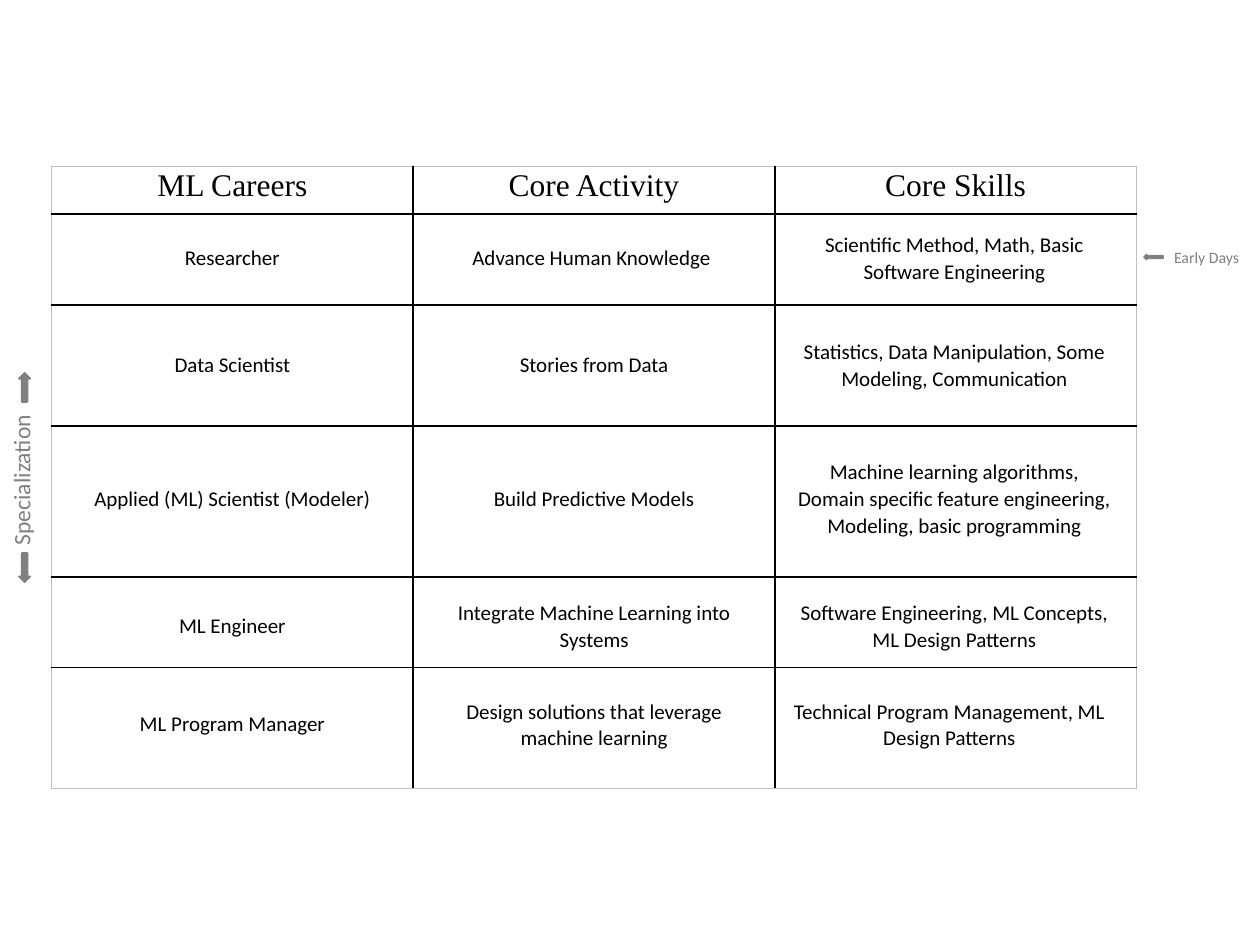
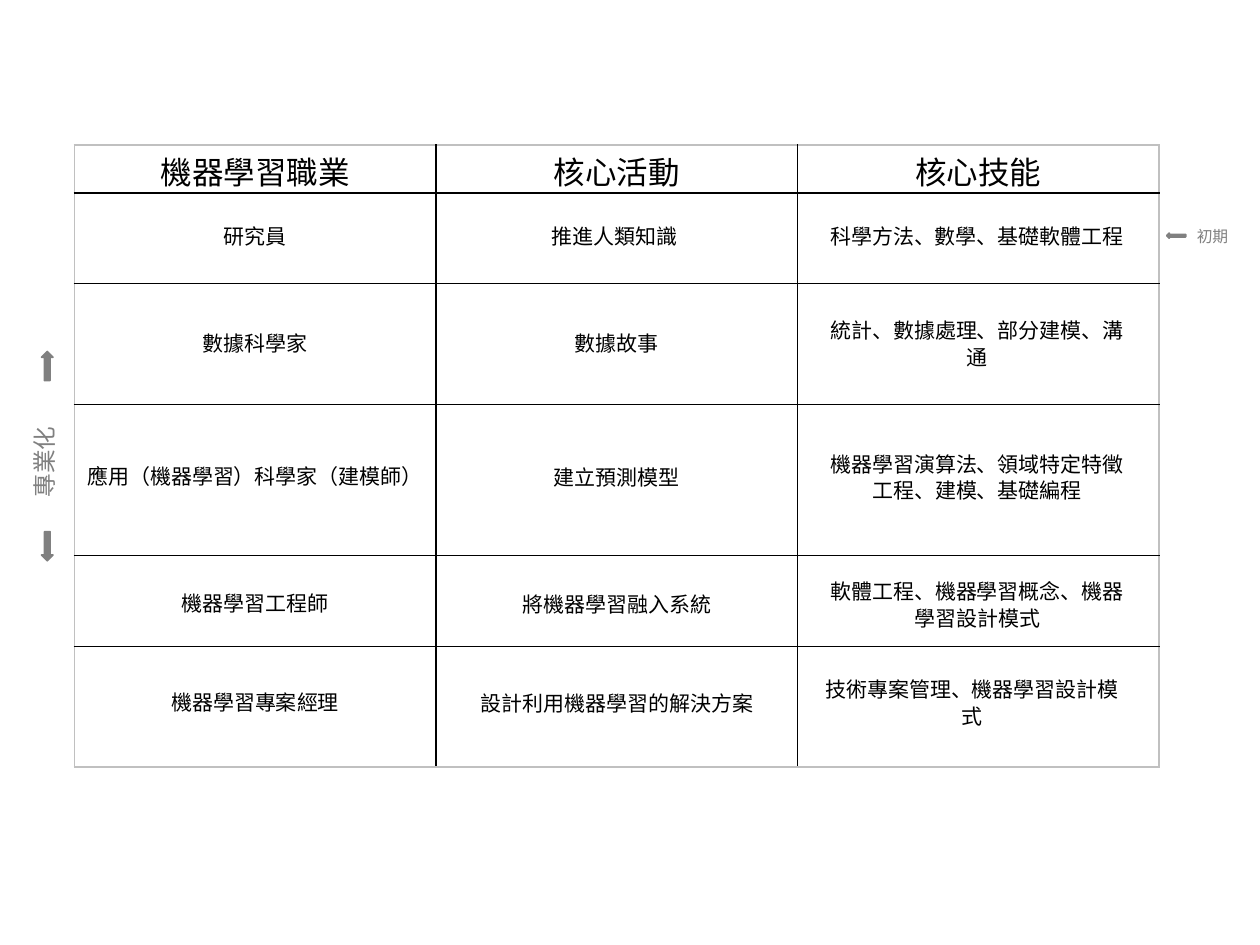
from dataclasses import dataclass

from lxml.etree import SubElement
from pptx import Presentation
from pptx.dml.color import RGBColor
from pptx.enum.shapes import MSO_SHAPE
from pptx.enum.text import MSO_ANCHOR, MSO_AUTO_SIZE, PP_ALIGN
from pptx.oxml.ns import qn
from pptx.util import Inches, Pt

BLACK = RGBColor(0x00, 0x00, 0x00)
GRAY = RGBColor(0x80, 0x80, 0x80)
EDGE = RGBColor(0xC0, 0xC0, 0xC0)
BODY_FONT = "Calibri"
HEAD_FONT = "Times New Roman"
SPACING = 1.07

COL_W = 2.87
ROW_H = (0.38, 0.72, 0.96, 1.2, 0.72, 0.96)
ROW_MID = (0.72, 1.57, 2.63, 3.64, 4.42)
TEXT_W = 2.69
ACTIVITY_X = (2.94, 2.96, 2.96, 2.96, 2.96)
SKILLS_X = (5.82, 5.82, 5.82, 5.82, 5.78)
ACTIVITY_LINES = (1, 1, 1, 2, 2)
SKILLS_LINES = (2, 2, 3, 2, 2)

CELL_FORMAT = {"margin_left": Inches(0.06), "margin_right": Inches(0.06),
               "margin_top": 0, "margin_bottom": 0}
CENTERED = {"alignment": PP_ALIGN.CENTER, "line_spacing": SPACING}


@dataclass(frozen=True)
class Career:
    """One row of the careers table."""
    name: str
    activity: str
    skills: str


@dataclass(frozen=True)
class CareerSlide:
    """The wording and table corner of one language version."""
    left: float
    top: float
    headers: tuple[str, str, str]
    careers: tuple[Career, ...]
    early: str
    special: str
    special_y: float


@dataclass(frozen=True)
class Arrow:
    """A gray arrow placed from the table corner."""
    x: float
    y: float
    w: float
    h: float
    rotation: int


ARROWS = (
    Arrow(8.67, 0.7, 0.15, 0.04, 180),
    Arrow(-0.33, 1.71, 0.23, 0.09, 270),
    Arrow(-0.33, 3.14, 0.23, 0.09, 90),
)

SLIDES = (
    CareerSlide(
        0.41, 1.32, ("ML Careers", "Core Activity", "Core Skills"),
        (
            Career("Researcher", "Advance Human Knowledge",
                   "Scientific Method, Math, Basic Software Engineering"),
            Career("Data Scientist", "Stories from Data",
                   "Statistics, Data Manipulation, Some Modeling, Communication"),
            Career("Applied (ML) Scientist (Modeler)", "Build Predictive Models",
                   "Machine learning algorithms, Domain specific feature "
                   "engineering, Modeling, basic programming"),
            Career("ML Engineer", "Integrate Machine Learning into Systems",
                   "Software Engineering, ML Concepts, ML Design Patterns"),
            Career("ML Program Manager",
                   "Design solutions that leverage machine learning",
                   "Technical Program Management, ML Design Patterns"),
        ),
        "Early Days", "Specialization", 2.31),
    CareerSlide(
        0.59, 1.15, ("機器學習職業", "核心活動", "核心技能"),
        (
            Career("研究員", "推進人類知識", "科學方法、數學、基礎軟體工程"),
            Career("數據科學家", "數據故事", "統計、數據處理、部分建模、溝通"),
            Career("應用（機器學習）科學家（建模師）", "建立預測模型",
                   "機器學習演算法、領域特定特徵工程、建模、基礎編程"),
            Career("機器學習工程師", "將機器學習融入系統",
                   "軟體工程、機器學習概念、機器學習設計模式"),
            Career("機器學習專案經理", "設計利用機器學習的解決方案",
                   "技術專案管理、機器學習設計模式"),
        ),
        "初期", "專業化", 2.1),
)


def apply(target, formats: dict) -> None:
    """Set each attribute named in formats."""
    for name, value in formats.items():
        setattr(target, name, value)


def write(p, text: str, font: str, size: float, color: RGBColor) -> None:
    """Add one formatted run to a paragraph."""
    r = p.add_run()
    r.text = text
    apply(r.font, {"name": font, "size": Pt(size)})
    r.font.color.rgb = color


def add_entry(s, text: str, x: float, mid: float, w: float, lines: int,
              spacing: float) -> None:
    """Add a centred table entry around a row's middle."""
    h = 0.1 + 0.21 * lines
    tf = s.shapes.add_textbox(Inches(x), Inches(mid - h / 2), Inches(w), Inches(h)).text_frame
    apply(tf, {"word_wrap": True, "auto_size": MSO_AUTO_SIZE.SHAPE_TO_FIT_TEXT,
               "vertical_anchor": MSO_ANCHOR.MIDDLE})
    p = tf.paragraphs[0]
    apply(p, {**CENTERED, "line_spacing": spacing})
    write(p, text, BODY_FONT, 12, BLACK)


def add_label(s, text: str, x: float, y: float, w: float, h: float,
              size: float, rotation: int = 0) -> None:
    """Add a gray side label that does not wrap."""
    sp = s.shapes.add_textbox(Inches(x), Inches(y), Inches(w), Inches(h))
    sp.rotation = rotation
    tf = sp.text_frame
    apply(tf, {"word_wrap": False, "auto_size": MSO_AUTO_SIZE.SHAPE_TO_FIT_TEXT})
    write(tf.paragraphs[0], text, BODY_FONT, size, GRAY)


def add_arrow(s, arrow: Arrow, left: float, top: float) -> None:
    """Draw one arrow relative to the table corner."""
    sp = s.shapes.add_shape(MSO_SHAPE.RIGHT_ARROW, Inches(left + arrow.x),
                            Inches(top + arrow.y), Inches(arrow.w), Inches(arrow.h))
    sp.rotation = arrow.rotation
    sp.shadow.inherit = False
    sp.fill.solid()
    sp.fill.fore_color.rgb = GRAY
    sp.line.color.rgb = GRAY
    sp.line.width = Pt(1)


def set_borders(cell, outer: dict[str, bool]) -> None:
    """Line a cell in black, with gray on the table's outer edge."""
    tc_pr = cell._tc.get_or_add_tcPr()
    for side, is_outer in outer.items():
        ln = SubElement(tc_pr, qn(f"a:ln{side}"), w=str(Pt(1)))
        fill = SubElement(ln, qn("a:solidFill"))
        SubElement(fill, qn("a:srgbClr"), val=str(EDGE if is_outer else BLACK))


def add_grid(s, page: CareerSlide) -> None:
    """Add the table grid with its header row."""
    rows, cols = len(ROW_H), len(page.headers)
    table = s.shapes.add_table(rows, cols, Inches(page.left), Inches(page.top),
                               Inches(COL_W * cols), Inches(sum(ROW_H))).table
    apply(table, {"first_row": False, "horz_banding": False})
    for column in table.columns:
        column.width = Inches(COL_W)
    for i, height in enumerate(ROW_H):
        table.rows[i].height = Inches(height)
        for j in range(cols):
            cell = table.cell(i, j)
            apply(cell, CELL_FORMAT)
            set_borders(cell, {"L": j == 0, "R": j == cols - 1,
                               "T": i == 0, "B": i == rows - 1})
            cell.fill.background()
    for j, header in enumerate(page.headers):
        p = table.cell(0, j).text_frame.paragraphs[0]
        apply(p, CENTERED)
        write(p, header, HEAD_FONT, 18, BLACK)


def build_slide(prs, page: CareerSlide) -> None:
    """Build one careers slide."""
    s = prs.slides.add_slide(prs.slide_layouts[6])
    left, top = page.left, page.top
    add_grid(s, page)
    for i, career in enumerate(page.careers):
        mid = top + ROW_MID[i]
        add_entry(s, career.name, left, mid, COL_W, 1, 1.0)
        add_entry(s, career.activity, left + ACTIVITY_X[i], mid, TEXT_W,
                  ACTIVITY_LINES[i], 1.0 if i < 2 else SPACING)
        add_entry(s, career.skills, left + SKILLS_X[i], mid, TEXT_W,
                  SKILLS_LINES[i], SPACING)
    add_label(s, page.early, left + 8.81, top + 0.6, 0.73, 0.25, 9)
    add_label(s, page.special, left - 0.87, top + page.special_y, 1.26, 0.33, 13.5, 270)
    for arrow in ARROWS:
        add_arrow(s, arrow, left, top)


def main() -> None:
    """Build and save the presentation."""
    prs = Presentation()
    apply(prs, {"slide_width": Inches(10), "slide_height": Inches(7.5)})
    for page in SLIDES:
        build_slide(prs, page)
    prs.save("out.pptx")


if __name__ == "__main__":
    main()
